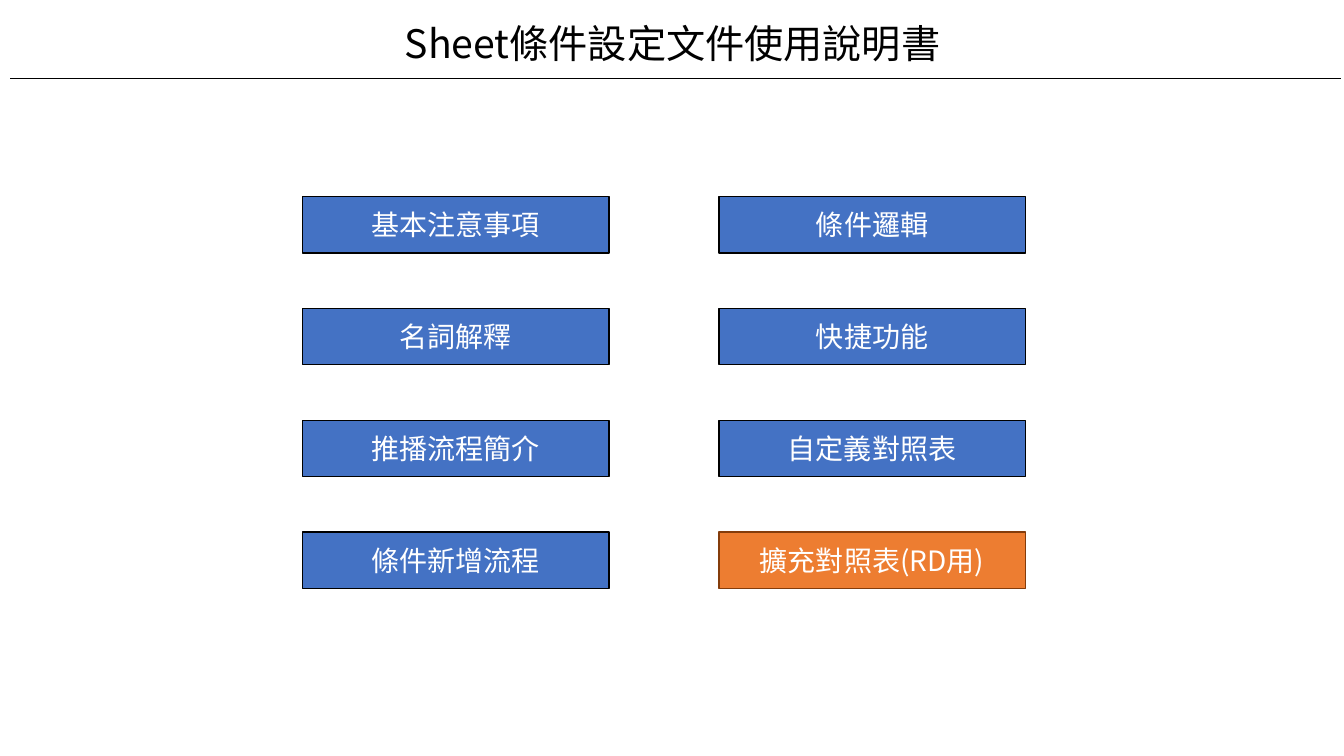
from dataclasses import dataclass

from pptx import Presentation
from pptx import util as u
from pptx.dml.color import RGBColor
from pptx.enum import shapes, text
from pptx.oxml.ns import qn
from pptx.slide import Slide
from pptx.text.text import TextFrame

BLACK = RGBColor(0x00, 0x00, 0x00)
WHITE = RGBColor(0xFF, 0xFF, 0xFF)
BLUE = RGBColor(0x44, 0x72, 0xC4)
ORANGE = RGBColor(0xED, 0x7D, 0x31)
BROWN = RGBColor(0x84, 0x3C, 0x0B)
FONT = "Noto Sans CJK JP"

# Menu grid, in inches
MENU_LEFT, MENU_TOP = 3, 1.95
COLUMN_STEP, ROW_STEP = 4.13, 1.11
BUTTON_WIDTH, BUTTON_HEIGHT = 3.04, 0.56


@dataclass(frozen=True)
class Topic:
    label: str
    fill: RGBColor = BLUE
    border: RGBColor = BLACK


COLUMNS = [
    [Topic("基本注意事項"), Topic("名詞解釋"), Topic("推播流程簡介"), Topic("條件新增流程")],
    [Topic("條件邏輯"), Topic("快捷功能"), Topic("自定義對照表"),
     Topic("擴充對照表(RD用)", ORANGE, BROWN)],
]


def write(frame: TextFrame, words: str, *, size: float, color: RGBColor,
          anchor: text.MSO_ANCHOR = text.MSO_ANCHOR.MIDDLE) -> None:
    frame.word_wrap = True
    frame.vertical_anchor = anchor
    paragraph = frame.paragraphs[0]
    paragraph.alignment = text.PP_ALIGN.CENTER
    run = paragraph.add_run()
    run.text = words
    run.font.size = u.Pt(size)
    run.font.name = FONT
    run.font.color.rgb = color
    # East Asian glyphs take their own typeface
    east_asian = run.font._element.makeelement(qn("a:ea"), {"typeface": FONT})
    run.font._element.append(east_asian)


def add_heading(slide: Slide, words: str) -> None:
    heading = slide.shapes.title
    heading.left, heading.top = u.Inches(0.15), u.Inches(0.14)
    heading.width, heading.height = u.Inches(13.04), u.Inches(0.57)
    write(heading.text_frame, words, size=28, color=BLACK, anchor=text.MSO_ANCHOR.TOP)
    heading.text_frame.auto_size = text.MSO_AUTO_SIZE.SHAPE_TO_FIT_TEXT
    heading.text_frame.paragraphs[0].line_spacing = 1.0


def add_rule(slide: Slide) -> None:
    rule = slide.shapes.add_connector(
        shapes.MSO_CONNECTOR.STRAIGHT,
        u.Inches(0.1), u.Inches(0.78), u.Inches(13.3), u.Inches(0.78))
    rule.line.color.rgb = BLACK
    rule.line.width = u.Pt(0.5)
    properties = rule._element.spPr
    properties.append(properties.makeelement(qn("a:effectLst"), {}))


def add_button(slide: Slide, topic: Topic, left: float, top: float) -> None:
    button = slide.shapes.add_shape(
        shapes.MSO_SHAPE.RECTANGLE, u.Inches(left), u.Inches(top),
        u.Inches(BUTTON_WIDTH), u.Inches(BUTTON_HEIGHT))
    button.shadow.inherit = False
    button.fill.solid()
    button.fill.fore_color.rgb = topic.fill
    button.line.color.rgb = topic.border
    button.line.width = u.Pt(1)
    write(button.text_frame, topic.label, size=20, color=WHITE)


def main() -> None:
    deck = Presentation()
    deck.slide_width, deck.slide_height = u.Inches(13.33), u.Inches(7.5)
    slide = deck.slides.add_slide(deck.slide_layouts[5])

    # Heading
    add_heading(slide, "Sheet條件設定文件使用說明書")
    add_rule(slide)

    # Menu of topics
    for column, topics in enumerate(COLUMNS):
        for row, topic in enumerate(topics):
            add_button(slide, topic, MENU_LEFT + column * COLUMN_STEP,
                       MENU_TOP + row * ROW_STEP)

    deck.save("out.pptx")


if __name__ == "__main__":
    main()
